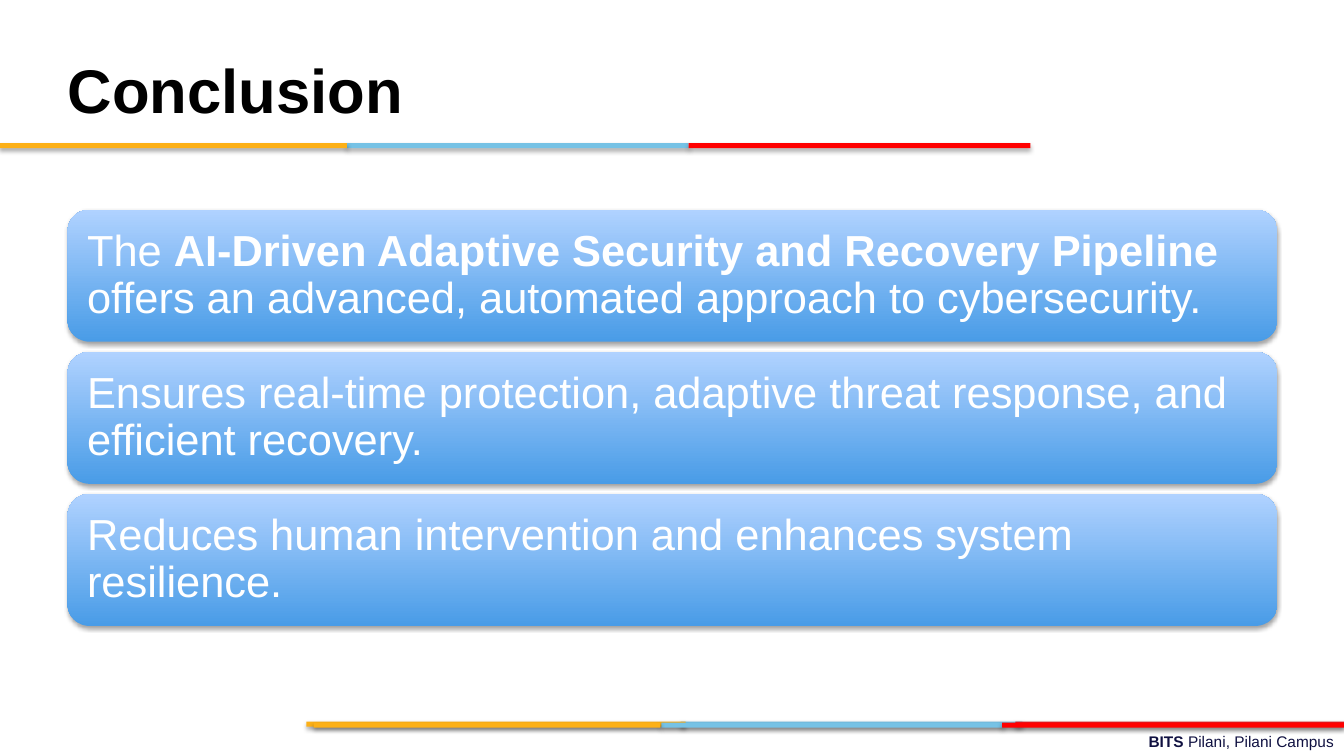
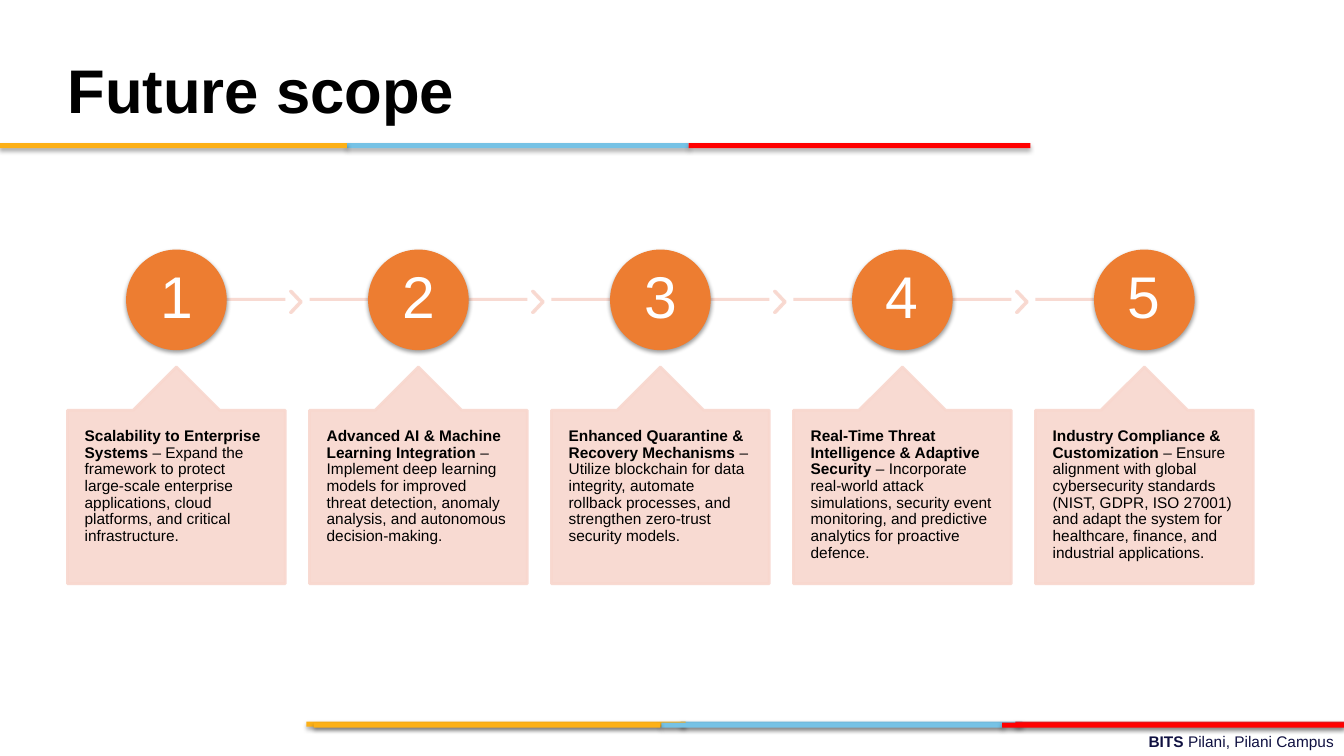
from lxml import etree
from pptx import Presentation
from pptx.dml.color import RGBColor
from pptx.enum.shapes import MSO_CONNECTOR, MSO_SHAPE as SHAPE, PP_PLACEHOLDER
from pptx.enum.text import MSO_ANCHOR as ANCHOR, PP_ALIGN as ALIGN
from pptx.oxml.ns import qn
from pptx.util import Inches, Pt

COLORS = {
    "black": "000000",
    "white": "FFFFFF",
    "navy": "101141",
    "gold": "FCB017",
    "sky": "76C2E5",
    "red": "FF0000",
    "crimson": "E31C24",
    "panel_top": "B0D2FF",
    "panel_bottom": "499CE7",
    "orange": "ED7D31",
    "blush": "F8D7CE",
}
FONT = "Arial"
MARGIN = 0.67
BAND_H = 0.05

# Left, top, width and colour of each band, from back to front
BANDS = [
    (6.75, 7.16, 3.39, "sky"),
    (10.07, 7.16, 3.26, "crimson"),
    (3.04, 7.16, 3.76, "gold"),
    (6.56, 7.17, 3.39, "sky"),
    (3.11, 7.17, 3.44, "gold"),
    (9.94, 7.17, 3.39, "red"),
    (3.44, 1.42, 3.39, "sky"),
    (0, 1.42, 3.44, "gold"),
    (6.83, 1.42, 3.39, "red"),
]

# Each text is a list of (text, bold) runs
CONCLUSIONS = [
    [("The ", False),
     ("AI-Driven Adaptive Security and Recovery Pipeline", True),
     (" offers an advanced, automated approach to cybersecurity.", False)],
    [("Ensures real-time protection, adaptive threat response, and "
      "efficient recovery.", False)],
    [("Reduces human intervention and enhances system resilience.", False)],
]

FUTURE_STEPS = [
    ("Scalability to Enterprise Systems",
     "Expand the framework to protect large-scale enterprise applications, "
     "cloud platforms, and critical infrastructure."),
    ("Advanced AI & Machine Learning Integration",
     "Implement deep learning models for improved threat detection, anomaly "
     "analysis, and autonomous decision-making."),
    ("Enhanced Quarantine & Recovery Mechanisms",
     "Utilize blockchain for data integrity, automate rollback processes, "
     "and strengthen zero-trust security models."),
    ("Real-Time Threat Intelligence & Adaptive Security",
     "Incorporate real-world attack simulations, security event monitoring, "
     "and predictive analytics for proactive defence."),
    ("Industry Compliance & Customization",
     "Ensure alignment with global cybersecurity standards (NIST, GDPR, "
     "ISO 27001) and adapt the system for healthcare, finance, and "
     "industrial applications."),
]


def rgb(name):
    return RGBColor.from_string(COLORS[name])


def set_text(tf, runs, *, size, color, align=ALIGN.LEFT, anchor=ANCHOR.MIDDLE,
             inset=(0, 0), spacing=0.9):
    """Fill a text frame with one paragraph; inset is (sides, top and bottom)."""
    tf.word_wrap = True
    tf.vertical_anchor = anchor
    tf.margin_left = tf.margin_right = Inches(inset[0])
    tf.margin_top = tf.margin_bottom = Inches(inset[1])
    p = tf.paragraphs[0]
    p.alignment = align
    p.line_spacing = spacing
    for text, bold in runs:
        r = p.add_run()
        r.text = text
        r.font.name, r.font.size, r.font.bold = FONT, Pt(size), bold
        r.font.color.rgb = rgb(color)


def add_shadow(sp, alpha=35, dist=1.8):
    effects = sp.element.spPr.find(qn("a:effectLst"))
    shadow = etree.SubElement(
        effects, qn("a:outerShdw"), blurRad=str(Pt(3.15)), dist=str(Pt(dist)),
        dir="5400000", rotWithShape="0")
    black = etree.SubElement(shadow, qn("a:srgbClr"), val=COLORS["black"])
    etree.SubElement(black, qn("a:alpha"), val=str(alpha * 1000))


def set_opacity(sp, percent):
    """Apply one opacity to every solid colour of a shape's fill and line."""
    for color in sp.element.spPr.iter(qn("a:srgbClr")):
        etree.SubElement(color, qn("a:alpha"), val=str(percent * 1000))


def add_box(s, kind, x, y, w, h, *, fill=None, line=None, adj=()):
    sp = s.shapes.add_shape(kind, Inches(x), Inches(y), Inches(w), Inches(h))
    sp.shadow.inherit = False
    for i, value in enumerate(adj):
        sp.adjustments[i] = value
    if fill:
        sp.fill.solid()
        sp.fill.fore_color.rgb = rgb(fill)
    if line:
        sp.line.color.rgb = rgb(line)
        sp.line.width = Pt(2)
    else:
        sp.line.fill.background()
    return sp


def add_blush_box(s, kind, x, y, w, h, adj):
    sp = add_box(s, kind, x, y, w, h, fill="blush", line="blush", adj=adj)
    set_opacity(sp, 90)
    return sp


def add_track(s, x1, x2, y):
    track = s.shapes.add_connector(
        MSO_CONNECTOR.STRAIGHT, Inches(x1), Inches(y), Inches(x2), Inches(y))
    track.line.color.rgb = rgb("blush")
    track.line.width = Pt(2)
    set_opacity(track, 90)
    etree.SubElement(track.element.spPr, qn("a:effectLst"))


def prepare_layout(layout):
    """Keep only the title placeholder and put it in its place."""
    for ph in list(layout.placeholders):
        if ph.placeholder_format.type == PP_PLACEHOLDER.TITLE:
            ph.left, ph.top = Inches(MARGIN), Inches(0.3)
            ph.width, ph.height = Inches(12), Inches(1.25)
        else:
            ph.element.getparent().remove(ph.element)


def add_frame(s):
    """Draw footer and bands, then move them to the layout for all slides."""
    footer = s.shapes.add_textbox(
        Inches(4.78), Inches(7.21), Inches(8.55), Inches(0.28))
    set_text(footer.text_frame,
             [("BITS ", True), ("Pilani, Pilani Campus", False)],
             size=11, color="navy", align=ALIGN.RIGHT, anchor=ANCHOR.TOP,
             inset=(0.1, 0.05), spacing=1.0)
    frame = [footer]
    for x, y, w, color in BANDS:
        band = add_box(s, SHAPE.RECTANGLE, x, y, w, BAND_H, fill=color)
        add_shadow(band)
        frame.append(band)
    for sp in frame:
        s.slide_layout.shapes.element.append(sp.element)


def add_titled_slide(prs, layout, title):
    s = prs.slides.add_slide(layout)
    set_text(s.shapes.title.text_frame, [(title, True)], size=44, color="black")
    return s


def add_conclusions(s):
    top, height, pitch = 2.08, 1.31, 1.41
    for i, runs in enumerate(CONCLUSIONS):
        panel = add_box(s, SHAPE.ROUNDED_RECTANGLE, MARGIN, top + i * pitch,
                        12, height)
        panel.fill.gradient()
        panel.fill.gradient_angle = 90
        for stop, color in zip(panel.fill.gradient_stops,
                               ("panel_bottom", "panel_top")):
            stop.color.rgb = rgb(color)
        add_shadow(panel)
        set_text(panel.text_frame, runs, size=31, color="white",
                 inset=(0.13, 0.13))


def add_future_steps(s):
    card_w, pitch, disc, track_y = 2.16, 2.4, 0.97, 2.97
    last = len(FUTURE_STEPS) - 1
    for i, (heading, detail) in enumerate(FUTURE_STEPS):
        x = MARGIN + i * pitch
        center, right = x + card_w / 2, x + card_w
        add_track(s, x if i else center, right if i < last else center, track_y)
        if i < last:
            add_blush_box(s, SHAPE.CHEVRON, right + 0.05, 2.89, 0.11, 0.21,
                          adj=[0.9])
        number = add_box(s, SHAPE.OVAL, center - disc / 2, 2.49, disc, disc,
                         fill="orange", line="orange")
        add_shadow(number, alpha=38, dist=1.6)
        set_text(number.text_frame, [(str(i + 1), False)], size=42,
                 color="white", align=ALIGN.CENTER, inset=(0.04, 0.04))
        card = add_blush_box(s, SHAPE.UP_ARROW_CALLOUT, x, 3.64, card_w, 2.15,
                             adj=[0.5, 0.2, 0.2, 1])
        set_text(card.text_frame, [(heading, True), (f" – {detail}", False)],
                 size=11, color="black", anchor=ANCHOR.TOP, inset=(0.17, 0.18))


def main():
    prs = Presentation()
    prs.slide_width, prs.slide_height = Inches(13.33), Inches(7.5)
    layout = prs.slide_layouts.get_by_name("Title Only")
    prepare_layout(layout)

    conclusion = add_titled_slide(prs, layout, "Conclusion")
    add_frame(conclusion)
    add_conclusions(conclusion)
    add_future_steps(add_titled_slide(prs, layout, "Future scope"))
    prs.save("out.pptx")


if __name__ == "__main__":
    main()
